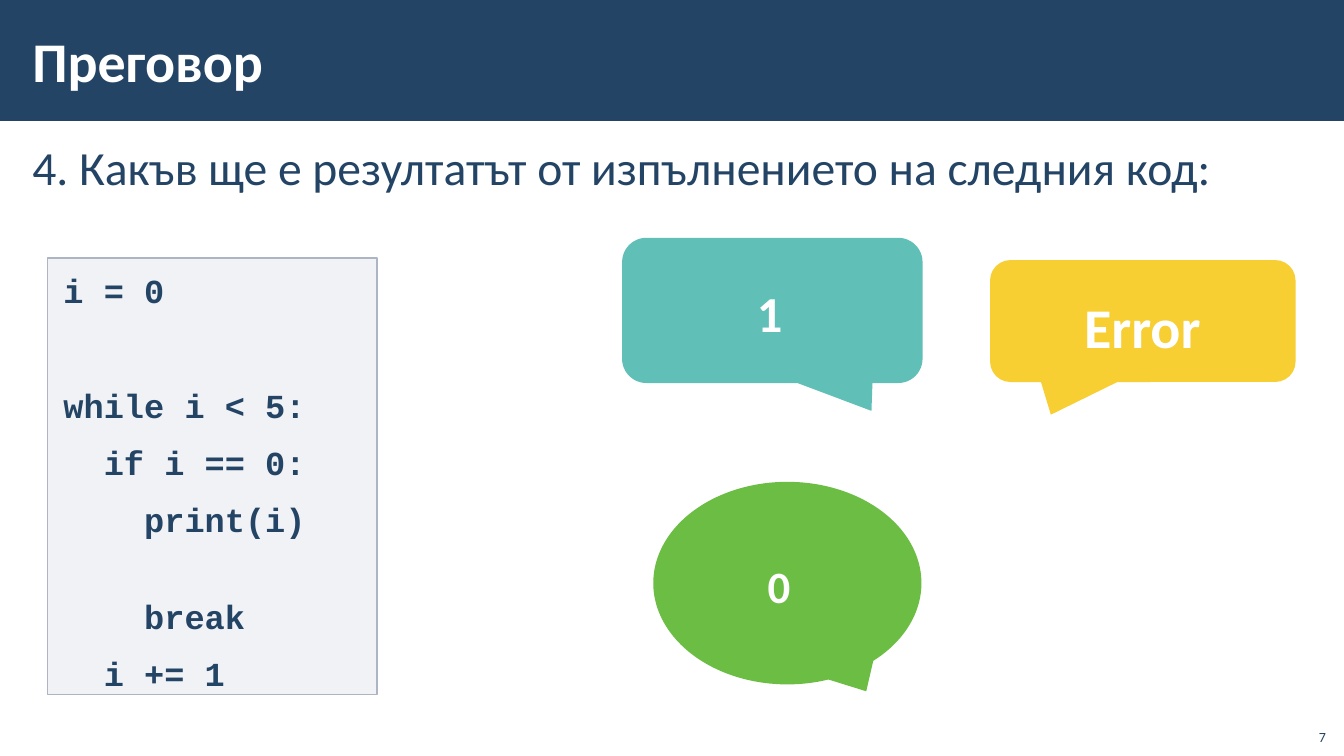
from pptx import Presentation
from pptx.dml.color import RGBColor
from pptx.enum.shapes import MSO_SHAPE
from pptx.enum.text import MSO_ANCHOR, PP_ALIGN
from pptx.oxml.ns import qn
from pptx.util import Inches, Pt
from lxml.etree import SubElement

NAVY = "234465"
WHITE = "FFFFFF"
BODY_INSETS = (0.12, 0.04)
BOX_INSETS = (0.16, 0.12)
CODE = [
    ("i = 0", 6),
    ("while i < 5:", 47),
    ("  if i == 0:", 6),
    ("    print(i)", 6),
    ("    break", 34.5),
    ("  i += 1", 6),
]


def rgb(value):
    return RGBColor.from_string(value)


def set_format(obj, values):
    for name, value in values.items():
        setattr(obj, name, value)


def add_box(shapes, kind, box, fill, alpha=100, adj=(), line=None):
    sp = shapes.add_shape(kind, *map(Inches, box))
    sp.shadow.inherit = False
    for i, value in enumerate(adj):
        sp.adjustments[i] = value
    sp.fill.solid()
    sp.fill.fore_color.rgb = rgb(fill)
    if alpha < 100:
        color = sp.fill._xPr.find(qn("a:solidFill"))[0]
        SubElement(color, qn("a:alpha"), val=str(alpha * 1000))
    if line:
        sp.line.color.rgb = rgb(line)
        sp.line.width = Pt(1)
    else:
        sp.line.fill.background()
    return sp


def set_frame(sp, insets, anchor=MSO_ANCHOR.TOP):
    x, y = map(Inches, insets)
    tf = sp.text_frame
    set_format(tf, {"word_wrap": True, "vertical_anchor": anchor,
                    "margin_left": x, "margin_right": x,
                    "margin_top": y, "margin_bottom": y})
    return tf


def write(p, text, size, color=NAVY, name="Calibri", bold=False, **para):
    set_format(p, {"alignment": PP_ALIGN.LEFT, **para})
    r = p.add_run()
    r.text = text
    set_format(r.font, {"size": Pt(size), "name": name, "bold": bold})
    r.font.color.rgb = rgb(color)


def add_text(shapes, box, text, size, insets=BODY_INSETS,
             anchor=MSO_ANCHOR.TOP, **style):
    sp = shapes.add_textbox(*map(Inches, box))
    tf = set_frame(sp, insets, anchor)
    write(tf.paragraphs[0], text, size, **style)


def add_header(s, box, title):
    x, y, w, h = box
    add_box(s.shapes, MSO_SHAPE.RECTANGLE, box, NAVY)
    add_text(s.shapes, (x + 0.2, y + 0.12, w - 2.72, h - 0.24), title, 40,
             anchor=MSO_ANCHOR.MIDDLE, color=WHITE, bold=True)


def add_question(s, box, text):
    add_text(s.shapes, box, text, 34, line_spacing=1.05,
             space_before=Pt(6), space_after=Pt(6))


def add_code(s, box, lines):
    sp = add_box(s.shapes, MSO_SHAPE.RECTANGLE, box, "A3ABBC", 15, line="ADB4C3")
    tf = set_frame(sp, BOX_INSETS)
    for i, (text, before) in enumerate(lines):
        p = tf.add_paragraph() if i else tf.paragraphs[0]
        write(p, text, 24, name="Courier New", bold=True,
              space_before=Pt(before), space_after=Pt(6))


def add_answer(s, box, kind, adj, fill, alpha, label, text, size, spacing):
    x, y, w, h = box
    dx, dy, label_w, label_h = label
    shapes = s.shapes.add_group_shape().shapes
    add_box(shapes, kind, box, fill, alpha, adj)
    add_text(shapes, (x + dx, y + dy, label_w, label_h), text, size, BOX_INSETS,
             color=WHITE, bold=True, alignment=PP_ALIGN.CENTER,
             line_spacing=spacing)


def add_page_number(s, box, number):
    add_text(s.shapes, box, number, 10, (0.1, 0.05), MSO_ANCHOR.BOTTOM,
             alignment=PP_ALIGN.RIGHT)


def main():
    prs = Presentation()
    prs.slide_width, prs.slide_height = Inches(13.33), Inches(7.5)
    s = prs.slides.add_slide(prs.slide_layouts[6])
    add_header(s, (0, 0, 13.34, 1.2), "Преговор")
    add_question(s, (0.2, 1.3, 12.91, 5.67),
                 "4. Какъв ще е резултатът от изпълнението на следния код:")
    add_code(s, (0.47, 2.56, 3.27, 4.33), CODE)
    add_answer(s, (6.48, 4.78, 2.66, 2.01), MSO_SHAPE.OVAL_CALLOUT,
               (0.294, 0.534), "6CBD44", 100,
               (-0.14, 0.64, 2.77, 0.77), "0", 32, 1.0)
    add_answer(s, (9.82, 2.58, 3.03, 1.21), MSO_SHAPE.ROUNDED_RECTANGULAR_CALLOUT,
               (-0.301, 0.768, 0.167), "F5C300", 80,
               (0.01, 0.14, 3, 0.97), "Error", 40, 1.1)
    add_answer(s, (6.17, 2.36, 2.98, 1.44), MSO_SHAPE.ROUNDED_RECTANGULAR_CALLOUT,
               (0.33, 0.692, 0.167), "60BFB7", 100,
               (0.33, 0.26, 2.27, 0.9), "1", 36, 1.1)
    add_page_number(s, (12.85, 7.12, 0.4, 0.32), "7")
    prs.save("out.pptx")


if __name__ == "__main__":
    main()
